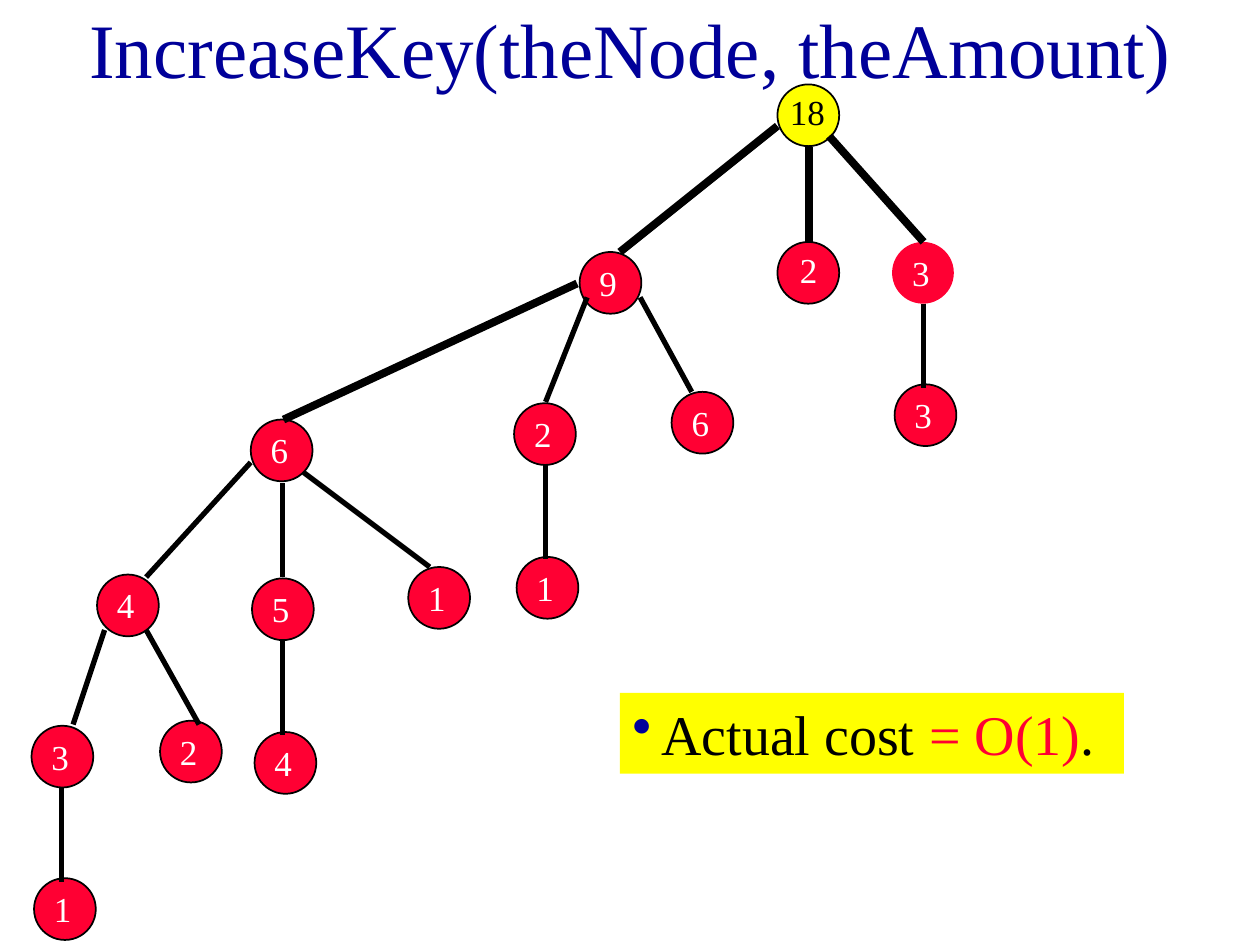
from typing import NamedTuple

from lxml.etree import SubElement
from pptx import Presentation
from pptx.dml.color import RGBColor
from pptx.enum.shapes import MSO_CONNECTOR, MSO_SHAPE
from pptx.enum.text import MSO_ANCHOR, PP_ALIGN
from pptx.oxml.ns import qn
from pptx.util import Inches, Pt

FONT = "Times New Roman"
NAVY = RGBColor(0x00, 0x00, 0x99)
RED = RGBColor(0xFF, 0x00, 0x33)
YELLOW = RGBColor(0xFF, 0xFF, 0x00)
BLACK = RGBColor(0x00, 0x00, 0x00)
WHITE = RGBColor(0xFF, 0xFF, 0xFF)

# Grid of 100 columns by 75 rows
CELL = Inches(0.1)
DIAMETER = 4.9
THIN, THICK = 3, 4.5


class Node(NamedTuple):
    key: str
    col: float
    row: float
    fill: RGBColor = RED
    color: RGBColor = WHITE
    outlined: bool = True
    label_dx: float = 0.6
    label_dy: float = 0.25
    label_width: float = 3.4


class Edge(NamedTuple):
    col1: float
    row1: float
    col2: float
    row2: float
    width: float = THIN


NODES = [
    Node("18", 61.7, 6.7, YELLOW, BLACK, label_dx=0, label_dy=0, label_width=4.8),
    Node("9", 46, 20),
    Node("2", 61.7, 19.2, label_dx=0.8, label_dy=0),
    Node("3", 70.8, 19.2, outlined=False),
    Node("3", 71, 30.5),
    Node("2", 40.8, 32),
    Node("6", 53.3, 31.1),
    Node("1", 41, 44.2),
    Node("6", 19.9, 33.3),
    Node("4", 7.7, 45.6),
    Node("5", 20, 45.9),
    Node("1", 32.4, 45),
    Node("4", 20.2, 58.1),
    Node("3", 2.5, 57.6),
    Node("2", 12.7, 57.2),
    Node("1", 2.7, 69.7),
]

EDGES = [
    Edge(61.7, 10, 49.2, 20, THICK),
    Edge(64.2, 11.7, 64.2, 19.2, THICK),
    Edge(65.8, 10.8, 73.3, 19.2, THICK),
    Edge(45.8, 22.5, 22.5, 33.3, THICK),
    Edge(73.3, 24.1, 73.3, 30.8),
    Edge(46.6, 23.6, 43.3, 31.9),
    Edge(50.8, 23.6, 54.9, 31.1),
    Edge(43.3, 36.9, 43.3, 44.4),
    Edge(19.9, 36.7, 11.6, 45.8),
    Edge(22.4, 38.3, 22.4, 45.8),
    Edge(24.1, 37.5, 34.1, 45),
    Edge(22.4, 50.8, 22.4, 58.3),
    Edge(8.3, 50, 5.8, 57.5),
    Edge(11.6, 50, 15.8, 57.5),
    Edge(4.9, 62.5, 4.9, 70),
]


def grid(*cells: float) -> list[int]:
    """Turn counts of grid cells into slide lengths."""
    return [round(n * CELL) for n in cells]


def add_run(p, text: str, size: float, color: RGBColor) -> None:
    r = p.add_run()
    r.text = text
    r.font.name = FONT
    r.font.size = Pt(size)
    r.font.color.rgb = color


def add_shape(s, kind: MSO_SHAPE, box: list[int], fill: RGBColor, outlined: bool):
    sp = s.shapes.add_shape(kind, *box)
    sp.shadow.inherit = False
    sp.fill.solid()
    sp.fill.fore_color.rgb = fill
    if outlined:
        sp.line.color.rgb = BLACK
        sp.line.width = Pt(1)
    else:
        sp.line.fill.background()
    return sp


def add_node(s, node: Node) -> None:
    box = grid(node.col, node.row, DIAMETER, DIAMETER)
    add_shape(s, MSO_SHAPE.OVAL, box, node.fill, node.outlined)
    label = s.shapes.add_textbox(*grid(
        node.col + node.label_dx, node.row + node.label_dy, node.label_width, 4.3))
    label.text_frame.word_wrap = False
    add_run(label.text_frame.paragraphs[0], node.key, 20, node.color)


def add_edge(s, edge: Edge) -> None:
    line = s.shapes.add_connector(MSO_CONNECTOR.STRAIGHT, *grid(*edge[:4]))
    line.line.color.rgb = BLACK
    line.line.width = Pt(edge.width)
    SubElement(line._element.spPr, qn("a:effectLst"))


def add_title(s, text: str) -> None:
    tf = s.shapes.add_textbox(*grid(1.7, 0, 96.7, 7.5)).text_frame
    tf.word_wrap = True
    tf.vertical_anchor = MSO_ANCHOR.MIDDLE
    p = tf.paragraphs[0]
    p.alignment = PP_ALIGN.CENTER
    add_run(p, text, 44, NAVY)


def add_bullet(p, color: RGBColor, indent: int) -> None:
    pPr = p._p.get_or_add_pPr()
    pPr.set("marL", str(indent))
    pPr.set("indent", str(-indent))
    clr = SubElement(pPr, qn("a:buClr"))
    SubElement(clr, qn("a:srgbClr")).set("val", str(color))
    SubElement(pPr, qn("a:buChar")).set("char", "•")


def add_cost_note(s) -> None:
    sp = add_shape(s, MSO_SHAPE.RECTANGLE, grid(49.2, 55, 40, 6.4), YELLOW, False)
    tf = sp.text_frame
    tf.word_wrap = True
    tf.vertical_anchor = MSO_ANCHOR.TOP
    p = tf.paragraphs[0]
    p.alignment = PP_ALIGN.LEFT
    p.space_before = Pt(4)
    add_bullet(p, NAVY, Inches(0.23))
    for text, color in [("Actual cost ", BLACK), ("= O(1)", RED), (".", BLACK)]:
        add_run(p, text, 32, color)


def main() -> None:
    prs = Presentation()
    prs.slide_width, prs.slide_height = grid(100, 75)
    s = prs.slides.add_slide(prs.slide_layouts[6])
    add_title(s, "IncreaseKey(theNode, theAmount)")
    for node in NODES:
        add_node(s, node)
    for edge in EDGES:
        add_edge(s, edge)
    add_cost_note(s)
    prs.save("out.pptx")


if __name__ == "__main__":
    main()
